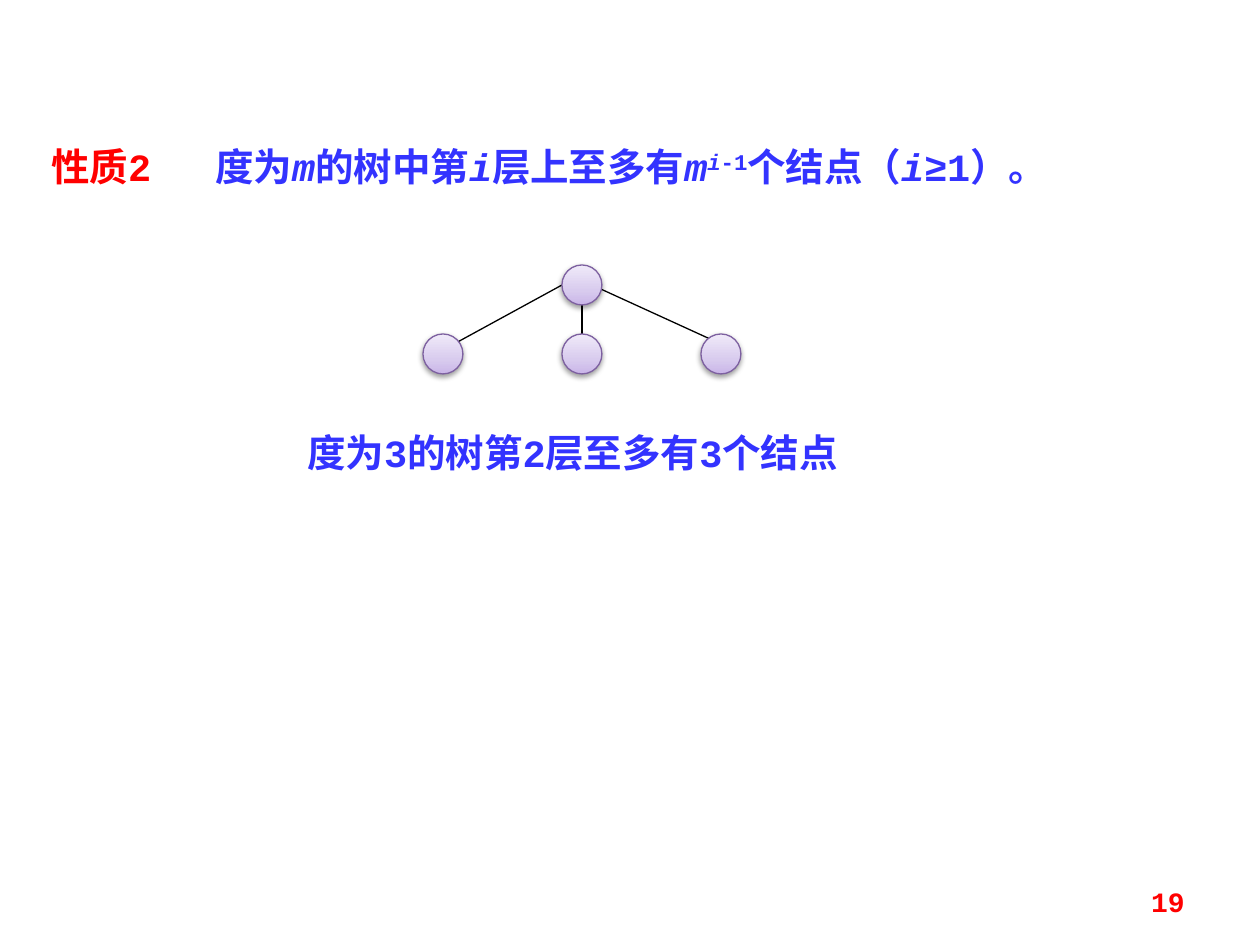
from lxml import etree
from pptx import Presentation
from pptx import util as u
from pptx.dml.color import RGBColor
from pptx.enum import shapes, text
from pptx.oxml import parse_xml
from pptx.oxml.ns import nsdecls, qn

THEME = {
    "font": "Courier New", "body": 22, "page": 16,
    "accent": "FF0000", "ink": "3333FF", "edge": "000000", "node_line": "7D60A0",
    "node_stops": ((0, "C9B5E8"), (35, "D8CBEE"), (100, "F0EAF9")),
}


def px(n):
    return round(n * 914400 / 126)


def add_text(box, runs, size, **frame_format):
    """Add a text box; each run is (words, colour, italic, superscript)."""
    frame = slide.shapes.add_textbox(*map(px, box)).text_frame
    for name, value in {"word_wrap": True, **frame_format}.items():
        setattr(frame, name, value)
    paragraph = frame.paragraphs[0]
    for words, colour, italic, superscript in runs:
        run = paragraph.add_run()
        run.text = words
        style = {"name": THEME["font"], "size": u.Pt(size), "bold": True, "italic": italic}
        for name, value in style.items():
            setattr(run.font, name, value)
        run.font.color.rgb = RGBColor.from_string(THEME[colour])
        if superscript:
            run.font._element.set("baseline", "30000")
    return paragraph


deck = Presentation()
deck.slide_width, deck.slide_height = px(1260), px(945)
slide = deck.slides.add_slide(deck.slide_layouts[6])

# Property statement, with a tab between its label and the sentence
statement = add_text((39, 137, 1176, 59), [
    ("性质2\t", "accent", False, False),
    ("度为", "ink", False, False),
    ("m", "ink", True, False),
    ("的树中第", "ink", False, False),
    ("i", "ink", True, False),
    ("层上至多有", "ink", False, False),
    ("m", "ink", True, False),
    ("i", "ink", True, True),
    ("-1", "ink", False, True),
    ("个结点（", "ink", False, False),
    ("i", "ink", True, False),
    ("≥1）。", "ink", False, False),
], THEME["body"], auto_size=text.MSO_AUTO_SIZE.SHAPE_TO_FIT_TEXT)
statement.alignment = text.PP_ALIGN.JUSTIFY
tabs = etree.SubElement(statement._p.get_or_add_pPr(), qn("a:tabLst"))
etree.SubElement(tabs, qn("a:tab"), pos=str(px(164)), algn="l")

# Tree edges, behind the nodes
for start, end in (((562, 285), (454, 344)), ((582, 295), (582, 344)), ((592, 285), (721, 344))):
    edge = slide.shapes.add_connector(shapes.MSO_CONNECTOR.STRAIGHT, *map(px, start + end))
    edge.line.color.rgb = RGBColor.from_string(THEME["edge"])
    edge.line.width = u.Pt(0.75)
    etree.SubElement(edge._element.spPr, qn("a:effectLst"))

# Tree nodes: the root above the middle one of three children
node_size, child_left, child_step, root_top, child_top = 40, 423, 139, 265, 334
children = [(child_left + i * child_step, child_top) for i in range(3)]
stops = "".join(f'<a:gs pos="{at * 1000}"><a:srgbClr val="{colour}"/></a:gs>'
                for at, colour in THEME["node_stops"])
for left, top in [(children[1][0], root_top)] + children:
    node = slide.shapes.add_shape(shapes.MSO_SHAPE.OVAL, px(left), px(top), px(node_size), px(node_size))
    node.line.color.rgb = RGBColor.from_string(THEME["node_line"])
    node.line.width = u.Pt(0.75)
    properties = node._element.spPr
    properties.find(qn("a:prstGeom")).addnext(parse_xml(
        f'<a:gradFill {nsdecls("a")}><a:gsLst>{stops}</a:gsLst>'
        '<a:lin ang="16200000" scaled="0"/></a:gradFill>'))
    properties.append(parse_xml(
        f'<a:effectLst {nsdecls("a")}><a:outerShdw blurRad="{u.Pt(3.1)}" dist="{u.Pt(1.6)}" '
        'dir="5400000" rotWithShape="0"><a:srgbClr val="000000"><a:alpha val="38000"/>'
        '</a:srgbClr></a:outerShdw></a:effectLst>'))

# Caption under the tree
add_text((295, 423, 581, 59), [("度为3的树第2层至多有3个结点", "ink", False, False)],
         THEME["body"], auto_size=text.MSO_AUTO_SIZE.SHAPE_TO_FIT_TEXT)

# Page number
page = add_text((903, 876, 294, 50), [("19", "accent", False, False)],
                THEME["page"], vertical_anchor=text.MSO_ANCHOR.MIDDLE)
page.alignment = text.PP_ALIGN.RIGHT

deck.save("out.pptx")
